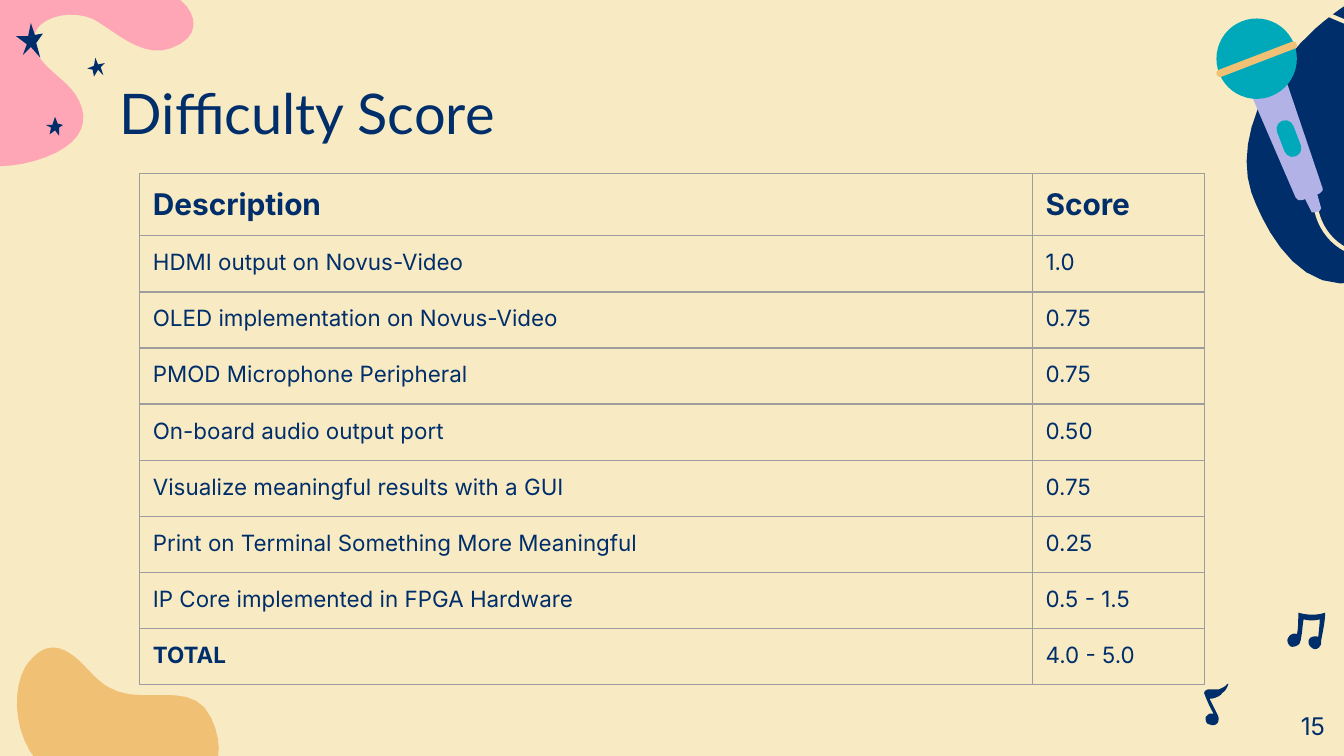
from pptx import Presentation
from pptx.dml.color import RGBColor
from pptx.enum.shapes import MSO_SHAPE
from pptx.enum.text import MSO_ANCHOR, PP_ALIGN
from pptx.oxml import parse_xml
from pptx.oxml.ns import nsdecls
from pptx.util import Cm, Pt

INK = {
    "cream": "F8EAC2", "navy": "002E6B", "lilac": "B2B2E7", "teal": "00A9BA",
    "gold": "F0C175", "pink": "FFA6B6", "grey": "9E9E9E",
}
UNIT = Cm(2.54) / 100
STEPS = 10

ROWS = [
    ("Description", "Score"),
    ("HDMI output on Novus-Video", "1.0"),
    ("OLED implementation on Novus-Video", "0.75"),
    ("PMOD Microphone Peripheral", "0.75"),
    ("On-board audio output port", "0.50"),
    ("Visualize meaningful results with a GUI", "0.75"),
    ("Print on Terminal Something More Meaningful", "0.25"),
    ("IP Core implemented in FPGA Hardware", "0.5 - 1.5"),
    ("TOTAL", "4.0 - 5.0"),
]

STARS = [
    "17 41 20 33 12 27 21 27 23 17 26 26 32 25 27 32 30 43 23 35",
    "41 87 39 93 34 93 38 95 37 100 41 97 44 101 44 95 47 93 43 92",
    "71 43 70 49 65 51 69 52 70 57 73 52 77 56 75 50 78 47 73 48",
]
PINK = """2 -20 5 -18 24 -18 32 -17 42 -17 53 -16 64 -16 85 -15 108 -12 125 -5
    143 1 156 26 127 36 105 44 83 21 69 14 50 6 23 14 25 32 27 48 47 57 56 70
    68 88 63 106 34 117 4 128 -21 125 -41 110 -65 90 -67 56 -61 28
    -58 15 -51 -4 -36 -14 -28 -21 -9 -24 2 -20"""
TAN = """34 123 10 102 8 65 19 46 24 39 34 27 48 34 61 40 68 54 80 61
    105 77 143 54 157 84 170 111 160 133 139 148 117 165 63 160 40 132"""
NAVY = """172 11 126 37 122 82 137 109 150 134 186 169 129 202
    71 235 40 168 31 143 19 107 39 57 79 21 97 5 126 -14 151 -18
    167 -21 192 5 172 11"""
CORD = """79 154 81 166 88 179 102 186 115 191 129 191 141 185
    162 175 178 158 187 129 196 96 185 70 160 50 146 36 120 24 98 15
    73 5 60 -6 40 -24 20 -42 6 -56 -5 -73"""
GRIP = "32 73 58 63 84 140 84 142 82 144 69 149 66 149 64 147"
TIP = "71 148 80 144 83 155 82 157 78 158 76 158"
PAIR = """86 6 80 8 73 8 66 6 66 12 66 18 65 22 63 21 60 22 59 24
    57 26 58 29 60 31 62 32 65 31 67 29 67 28 68 27 68 25 69 21 69 16 70 11
    74 12 78 12 82 11 82 15 81 21 81 24 78 23 75 24 74 26 73 28 74 31 76 32
    78 34 81 33 82 31 83 30 83 29 83 27 84 21 86 13 86 6"""
NOTE = """13 59 12 61 9 62 7 63 5 63 2 63 0 63 -2 63 -4 64 -4 66
    -2 71 0 76 3 81 2 81 1 81 0 81 -1 82 -2 82 -2 83 -3 83 -3 84 -3 84
    -3 87 -2 89 0 89 2 90 4 90 6 88 7 86 7 84 6 82 4 78 2 74 0 70
    3 70 5 69 7 68 8 67 9 67 9 66 12 64 13 62 14 59"""


def tint(name):
    return RGBColor.from_string(INK[name])


def paint(shape, name):
    shape.shadow.inherit = False
    shape.fill.solid()
    shape.fill.fore_color.rgb = tint(name)
    shape.line.fill.background()
    return shape


def points(text):
    nums = [int(n) * UNIT for n in text.split()]
    return list(zip(nums[::2], nums[1::2]))


def bend(text):
    pts = points(text)
    out = pts[:1]
    for i in range(0, len(pts) - 1, 3):
        quad = pts[i:i + 4]
        for k in range(1, STEPS + 1):
            t = k / STEPS
            u = 1 - t
            mix = (u ** 3, 3 * u * u * t, 3 * u * t * t, t ** 3)
            out.append(tuple(sum(m * p[a] for m, p in zip(mix, quad)) for a in (0, 1)))
    return out


def trace(shapes, box, pts, name, close=True):
    pen = shapes.build_freeform(*pts[0])
    pen.add_line_segments(pts[1:], close=close)
    return paint(pen.convert_to_shape(*box), name)


def solid(shapes, box, kind, mid, size, name, turn=0):
    left, top = (b + Cm(m - s / 2) for b, m, s in zip(box, mid, size))
    shape = paint(shapes.add_shape(kind, left, top, Cm(size[0]), Cm(size[1])), name)
    shape.rotation = turn
    return shape


def write(para, text, size, font="Inter", bold=False):
    para.text = text
    face = para.font
    face.name, face.size, face.bold = font, Pt(size), bold
    face.color.rgb = tint("navy")


def pad(frame):
    frame.margin_left = frame.margin_right = Cm(0.25)
    frame.margin_top = frame.margin_bottom = Cm(0.25)


def place(shape, box):
    shape.left, shape.top, shape.width, shape.height = box


def mic(shapes, box):
    trace(shapes, box, bend(NAVY), "navy")
    cord = trace(shapes, box, bend(CORD), "cream", close=False)
    cord.fill.background()
    cord.line.color.rgb = tint("cream")
    cord.line.width = Pt(2.25)
    for part in (TIP, GRIP):
        trace(shapes, box, points(part), "lilac")
    pill = MSO_SHAPE.ROUNDED_RECTANGLE
    knob = solid(shapes, box, pill, (1.5, 2.62), (0.33, 0.72), "teal", -21)
    solid(shapes, box, MSO_SHAPE.OVAL, (0.89, 1.11), (1.52, 1.52), "teal")
    band = solid(shapes, box, pill, (0.89, 1.12), (1.62, 0.14), "gold", -21)
    for shape in (knob, band):
        shape.adjustments[0] = 0.5


def sky(shapes, box):
    trace(shapes, box, bend(PINK), "pink")
    for star in STARS:
        trace(shapes, box, points(star), "navy")


def notes(shapes, box):
    for note in (PAIR, NOTE):
        trace(shapes, box, bend(note), "navy")


def head(slide, box):
    title = slide.shapes.title
    title.element.getparent().append(title.element)
    place(title, box)
    frame = title.text_frame
    pad(frame)
    frame.vertical_anchor = MSO_ANCHOR.TOP
    para = frame.paragraphs[0]
    write(para, "Difficulty Score", 30, "Lato")
    para.alignment = PP_ALIGN.LEFT


def folio(shapes, box):
    frame = shapes.add_textbox(*box).text_frame
    frame.word_wrap = True
    pad(frame)
    frame.vertical_anchor = MSO_ANCHOR.MIDDLE
    write(frame.paragraphs[0], "15", 13)
    frame.paragraphs[0].alignment = PP_ALIGN.RIGHT


def rule(cell):
    props = cell._tc.get_or_add_tcPr()
    for side in "LRTB":
        props.append(parse_xml(
            f'<a:ln{side} {nsdecls("a")} w="{Pt(0.75)}"><a:solidFill>'
            f'<a:srgbClr val="{INK["grey"]}"/></a:solidFill></a:ln{side}>'))
    cell.fill.background()


def scores(shapes, box):
    grid = shapes.add_table(len(ROWS), 2, *box).table
    grid.first_row = grid.horz_banding = False
    grid.columns[0].width = Cm(16.87)
    grid.columns[1].width = box[2] - Cm(16.87)
    for r, row in enumerate(ROWS):
        grid.rows[r].height = Cm(1.06 if r else 1.12)
        for c, text in enumerate(row):
            cell = grid.cell(r, c)
            pad(cell)
            bold = r == 0 or text == "TOTAL"
            write(cell.text_frame.paragraphs[0], text, 12 if r else 16, bold=bold)
            rule(cell)


def main():
    deck = Presentation()
    deck.slide_width, deck.slide_height = Cm(25.4), Cm(14.29)
    slide = deck.slides.add_slide(deck.slide_layouts[5])
    back = slide.background.fill
    back.solid()
    back.fore_color.rgb = tint("cream")
    shapes = slide.shapes
    mic(shapes, (Cm(22.86), Cm(0)))
    sky(shapes, (Cm(0), Cm(0)))
    trace(shapes, (Cm(0), Cm(11.43)), bend(TAN), "gold")
    notes(shapes, (Cm(22.86), Cm(11.43)))
    head(slide, (Cm(2.01), Cm(1.24), Cm(21.41), Cm(1.6)))
    folio(shapes, (Cm(23.77), Cm(13.18), Cm(1.52), Cm(1.09)))
    scores(shapes, (Cm(2.64), Cm(3.28), Cm(20.12), Cm(9.6)))
    deck.save("out.pptx")


if __name__ == "__main__":
    main()
